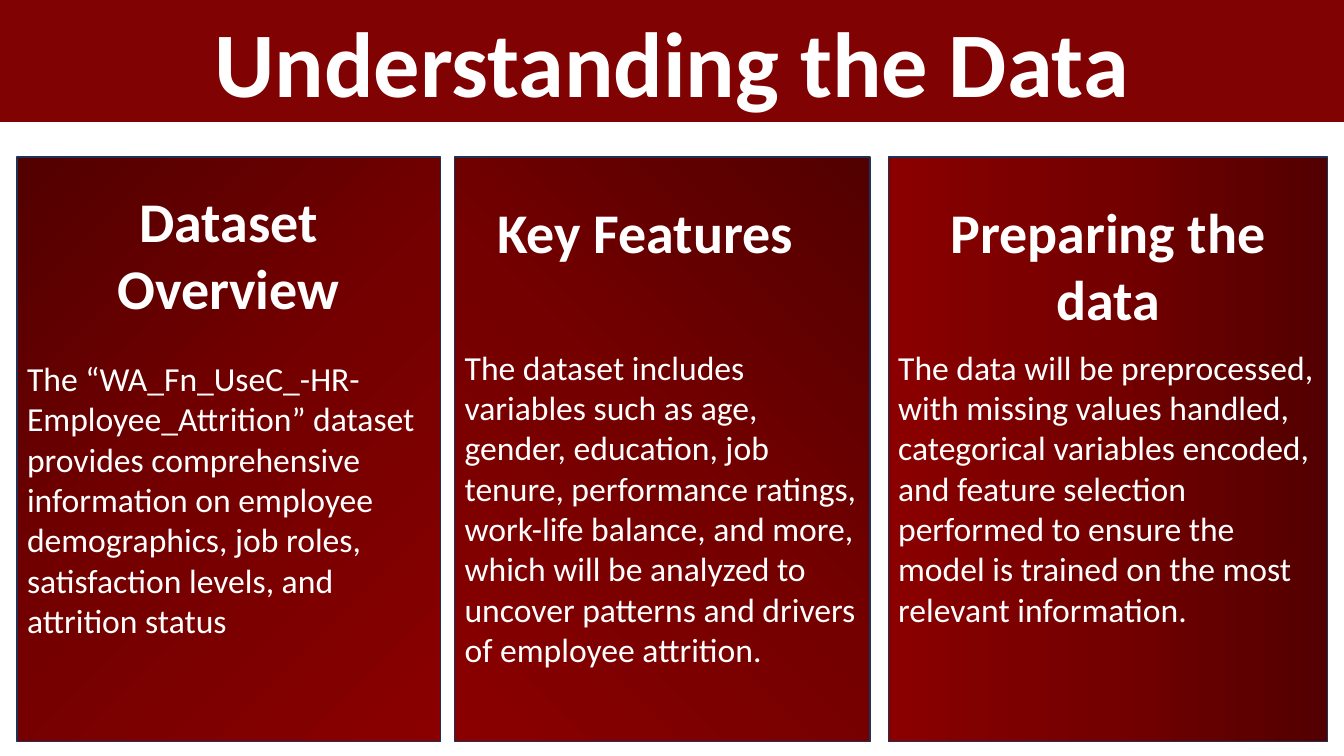
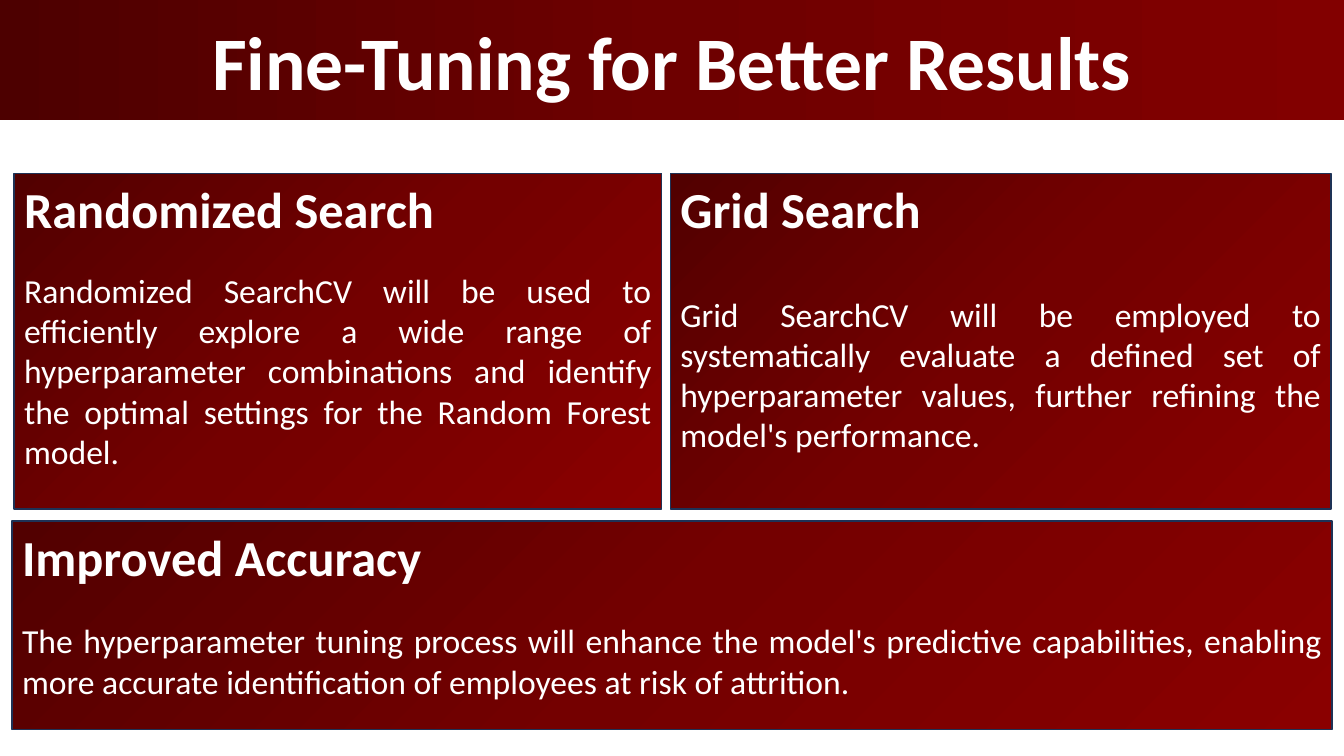
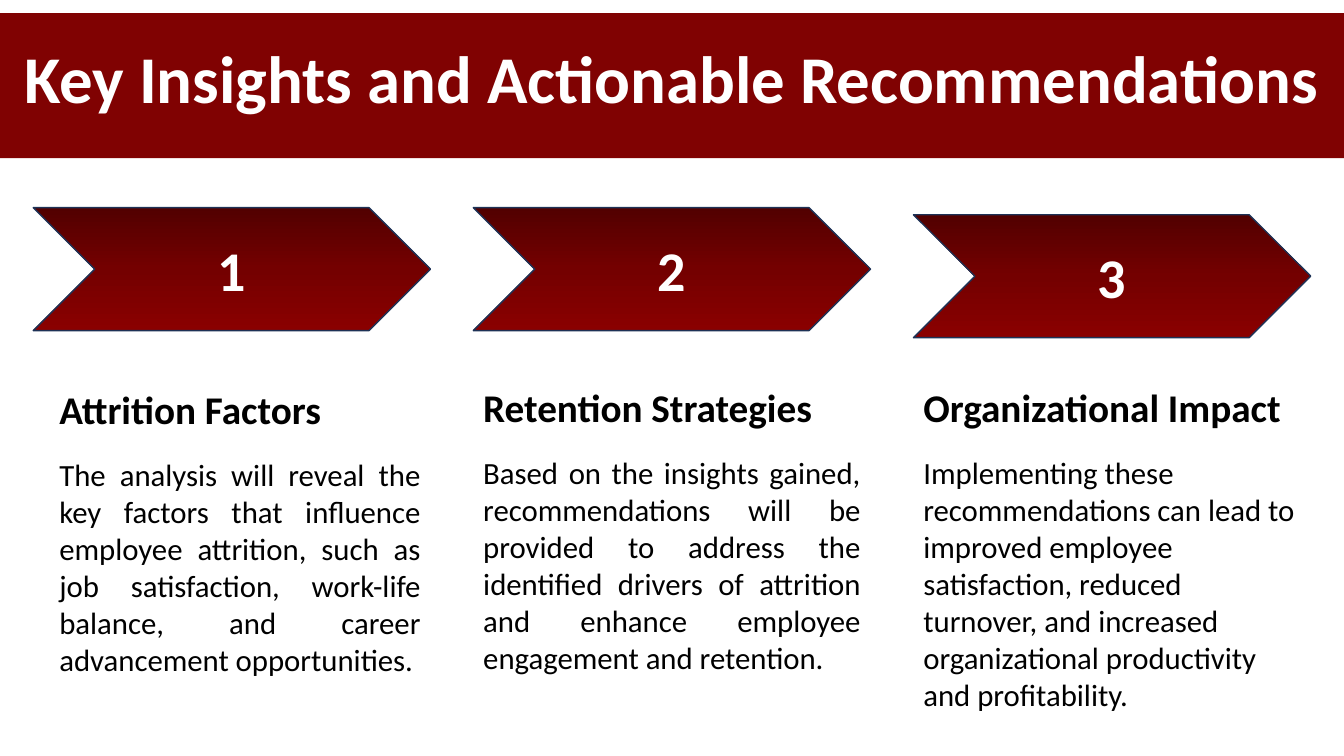
from lxml import etree
from pptx import Presentation
from pptx import util as u
from pptx.dml.color import RGBColor
from pptx.enum import shapes, text
from pptx.oxml import ns

# Shared look
WIDTH, HEIGHT = 13.33, 7.5
FONT = "Calibri"
WHITE = RGBColor(0xFF, 0xFF, 0xFF)
BLACK = RGBColor(0x00, 0x00, 0x00)
BAND_RED = RGBColor(0x80, 0x02, 0x02)
OUTLINE = RGBColor(0x1E, 0x32, 0x56)
CARD_REDS = [RGBColor(0x52, 0, 0), RGBColor(0x74, 0, 0), RGBColor(0x8A, 0, 0)]
BAND_REDS = [RGBColor(0x4D, 0, 0), RGBColor(0x6E, 0, 0), RGBColor(0x82, 0, 0)]
LEFT, CENTER, JUSTIFY = (text.PP_ALIGN.LEFT, text.PP_ALIGN.CENTER,
                         text.PP_ALIGN.JUSTIFY)
TOP, MIDDLE = text.MSO_ANCHOR.TOP, text.MSO_ANCHOR.MIDDLE
RECTANGLE, CHEVRON = shapes.MSO_SHAPE.RECTANGLE, shapes.MSO_SHAPE.CHEVRON

# Gradient directions: an angle, or the corner where the dark end sits
TOP_LEFT, TOP_RIGHT = "rb", "lb"

# Content: title, size, top, height, fill, lift of the text
TITLES = {
    "data": ("Understanding the Data", 66, 0, 1.21, BAND_RED, 0),
    "tuning": ("Fine-Tuning for Better Results", 54, 0, 1.19, (BAND_REDS, 0), 0),
    "insights": ("Key Insights and Actionable Recommendations", 47.7, 0.13, 1.44,
                 BAND_RED, 0.18),
}

# Card left and width, gradient, heading, heading box, body, body offset
DATA_TOP, DATA_HEIGHT = 1.56, 5.8
DATA_CARDS = [
    (0.17, 4.2, TOP_LEFT, "Dataset Overview", (0.14, 1.8, 4.25, 1.45),
     "The “WA_Fn_UseC_-HR-Employee_Attrition” dataset provides comprehensive "
     "information on employee demographics, job roles, satisfaction levels, and "
     "attrition status", 1.99),
    (4.51, 4.12, TOP_RIGHT, "Key Features", (4.5, 1.91, 3.8, 0.77),
     "The dataset includes variables such as age, gender, education, job tenure, "
     "performance ratings, work-life balance, and more, which will be analyzed to "
     "uncover patterns and drivers of employee attrition.", 1.88),
    (8.81, 4.36, 180, "Preparing the data", (8.81, 1.91, 4.36, 1.45),
     "The data will be preprocessed, with missing values handled, categorical "
     "variables encoded, and feature selection performed to ensure the model is "
     "trained on the most relevant information.", 1.88),
]

# Card box, heading, gap after the heading in points, body
TUNING_CARDS = [
    ((0.14, 1.72, 6.42, 3.33), "Randomized Search", 22,
     "Randomized SearchCV will be used to efficiently explore a wide range of "
     "hyperparameter combinations and identify the optimal settings for the "
     "Random Forest model."),
    ((6.65, 1.72, 6.55, 3.33), "Grid Search", 39,
     "Grid SearchCV will be employed to systematically evaluate a defined set of "
     "hyperparameter values, further refining the model's performance."),
    ((0.12, 5.17, 13.09, 2.07), "Improved Accuracy", 24,
     "The hyperparameter tuning process will enhance the model's predictive "
     "capabilities, enabling more accurate identification of employees at risk of "
     "attrition."),
]

# Chevron top, text indent, text top, heading, body, alignment
STEP_LEFT, STEP_PITCH, STEP_WIDTH, STEP_HEIGHT = 0.33, 4.365, 3.94, 1.22
STEPS = [
    (2.06, 0.16, 3.77, "Attrition Factors",
     "The analysis will reveal the key factors that influence employee attrition, "
     "such as job satisfaction, work-life balance, and career advancement "
     "opportunities.", JUSTIFY),
    (2.06, 0, 3.75, "Retention Strategies",
     "Based on the insights gained, recommendations will be provided to address "
     "the identified drivers of attrition and enhance employee engagement and "
     "retention.", JUSTIFY),
    (2.13, 0, 3.75, "Organizational Impact",
     "Implementing these recommendations can lead to improved employee "
     "satisfaction, reduced turnover, and increased organizational productivity "
     "and profitability.", LEFT),
]


def line_of(words, size, bold=False, align=LEFT, color=WHITE, after=0):
    return words, size, bold, align, color, after


def write(shape, lines, anchor=TOP, top=0.05, bottom=0.05):
    frame = shape.text_frame
    frame.word_wrap = True
    frame.vertical_anchor = anchor
    frame.margin_top, frame.margin_bottom = u.Inches(top), u.Inches(bottom)
    for index, (words, size, bold, align, color, after) in enumerate(lines):
        paragraph = frame.add_paragraph() if index else frame.paragraphs[0]
        paragraph.alignment = align
        paragraph.space_after = u.Pt(after)
        run = paragraph.add_run()
        run.text = words
        run.font.name, run.font.size, run.font.bold = FONT, u.Pt(size), bold
        run.font.color.rgb = color


def set_gradient(shape, colors, direction):
    shape.fill.background()
    gradient = etree.Element(ns.qn("a:gradFill"), rotWithShape="1")
    stops = etree.SubElement(gradient, ns.qn("a:gsLst"))
    for index, color in enumerate(colors):
        stop = etree.SubElement(stops, ns.qn("a:gs"), pos=str(index * 50000))
        etree.SubElement(stop, ns.qn("a:srgbClr"), val=str(color))
    if isinstance(direction, str):
        circle = etree.SubElement(gradient, ns.qn("a:path"))
        circle.set("path", "circle")
        etree.SubElement(circle, ns.qn("a:fillToRect"),
                         {side: "100000" for side in direction})
    else:
        etree.SubElement(gradient, ns.qn("a:lin"),
                         ang=str(direction * 60000), scaled="1")
    properties = shape._element.spPr
    properties.replace(properties.find(ns.qn("a:noFill")), gradient)


def add_block(slide, box, fill, kind=RECTANGLE, outline=True):
    shape = slide.shapes.add_shape(kind, *map(u.Inches, box))
    shape.shadow.inherit = False
    if isinstance(fill, RGBColor):
        shape.fill.solid()
        shape.fill.fore_color.rgb = fill
    else:
        set_gradient(shape, *fill)
    if outline:
        shape.line.color.rgb = OUTLINE
        shape.line.width = u.Pt(1)
    else:
        shape.line.fill.background()
    return shape


def add_text(slide, box, lines):
    write(slide.shapes.add_textbox(*map(u.Inches, box)), lines)


def add_slide(presentation, key):
    title, size, top, height, fill, lift = TITLES[key]
    slide = presentation.slides.add_slide(presentation.slide_layouts[6])
    band = add_block(slide, (0, top, WIDTH, height), fill, outline=False)
    write(band, [line_of(title, size, True, CENTER)], MIDDLE, bottom=0.05 + lift)
    return slide


def build_data(presentation):
    slide = add_slide(presentation, "data")
    for left, width, direction, heading, heading_box, body, offset in DATA_CARDS:
        card = add_block(slide, (left, DATA_TOP, width, DATA_HEIGHT),
                         (CARD_REDS, direction))
        write(card, [line_of(body, 24)], top=offset)
        add_text(slide, heading_box, [line_of(heading, 40, True, CENTER)])


def build_tuning(presentation):
    slide = add_slide(presentation, "tuning")
    for box, heading, gap, body in TUNING_CARDS:
        card = add_block(slide, box, (CARD_REDS, TOP_LEFT))
        write(card, [line_of(heading, 36, True, after=gap),
                     line_of(body, 24, align=JUSTIFY)])


def build_insights(presentation):
    slide = add_slide(presentation, "insights")
    for index, (top, indent, text_top, heading, body, align) in enumerate(STEPS):
        left = STEP_LEFT + index * STEP_PITCH
        chevron = add_block(slide, (left, top, STEP_WIDTH, STEP_HEIGHT),
                            (CARD_REDS, 90), CHEVRON)
        write(chevron, [line_of(str(index + 1), 40, True, CENTER)], MIDDLE)
        add_text(slide, (left + indent, text_top, STEP_WIDTH - indent, 3.03),
                 [line_of(heading, 28, True, color=BLACK, after=17),
                  line_of(body, 22, align=align, color=BLACK)])


def main():
    presentation = Presentation()
    presentation.slide_width = u.Inches(WIDTH)
    presentation.slide_height = u.Inches(HEIGHT)
    build_data(presentation)
    build_tuning(presentation)
    build_insights(presentation)
    presentation.save("out.pptx")


if __name__ == "__main__":
    main()
